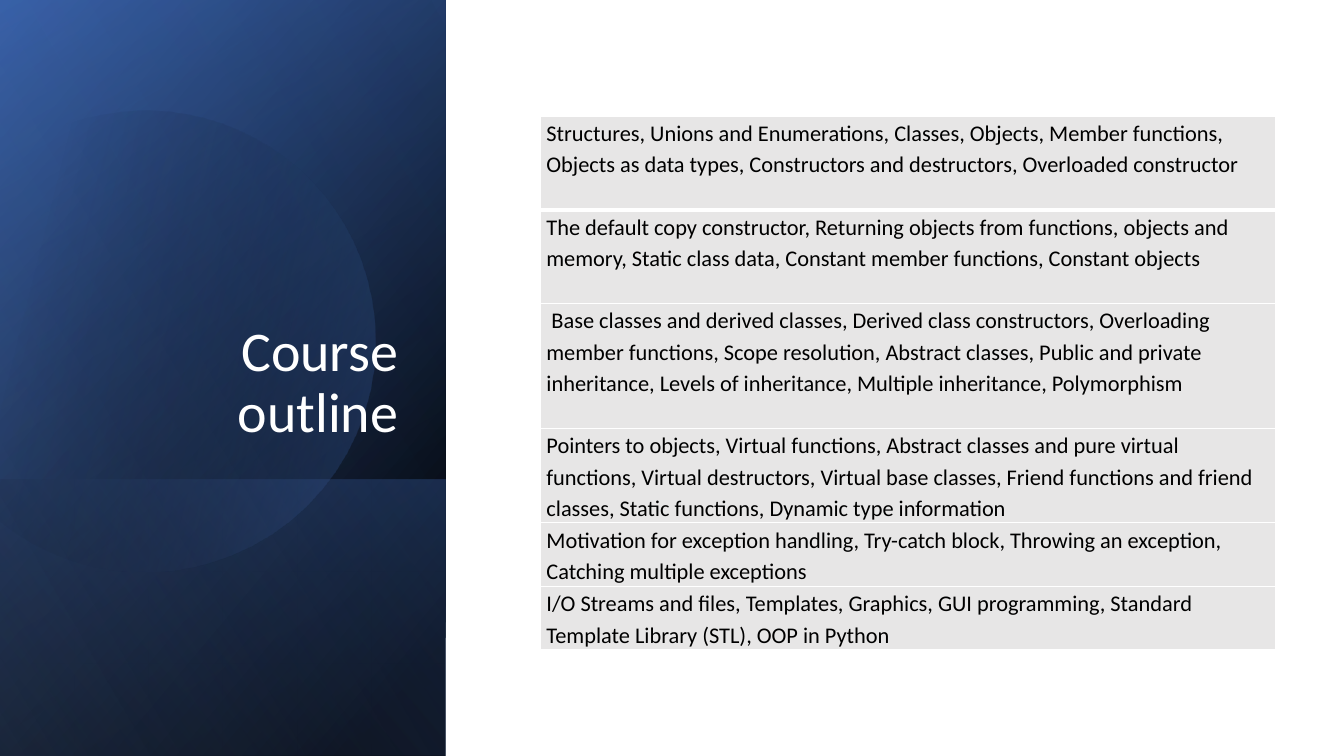
import math

import lxml.etree
import pptx
import pptx.dml.color
import pptx.enum.shapes
import pptx.enum.text
import pptx.oxml.ns
import pptx.util

Inches, Pt = pptx.util.Inches, pptx.util.Pt
qn = pptx.oxml.ns.qn

COLORS = {
    "black": "000000", "white": "FFFFFF", "navy": "2F5597",
    "blue": "4472C4", "pale": "8FAADC", "cell": "E7E6E6",
}
FONT = "Calibri"
TITLE = "Course outline"
TOPICS = [  # row height, text
    (0.93, "Structures, Unions and Enumerations, Classes, Objects, Member functions, "
           "Objects as data types, Constructors and destructors, Overloaded constructor"),
    (0.93, "The default copy constructor, Returning objects from functions, objects and "
           "memory, Static class data, Constant member functions, Constant objects"),
    (1.24, " Base classes and derived classes, Derived class constructors, Overloading "
           "member functions, Scope resolution, Abstract classes, Public and private "
           "inheritance, Levels of inheritance, Multiple inheritance, Polymorphism"),
    (0.93, "Pointers to objects, Virtual functions, Abstract classes and pure virtual "
           "functions, Virtual destructors, Virtual base classes, Friend functions and "
           "friend classes, Static functions, Dynamic type information"),
    (0.63, "Motivation for exception handling, Try-catch block, Throwing an exception, "
           "Catching multiple exceptions"),
    (0.63, "I/O Streams and files, Templates, Graphics, GUI programming, Standard "
           "Template Library (STL), OOP in Python"),
]

# Gradient stops: position %, colour, opacity %
PANEL_WIDTH, PANEL_HEIGHT, LOWER_HEIGHT = 4.42, 7.5, 2.74
PANELS = [  # height, clockwise angle, stops
    (PANEL_HEIGHT, 50, [(8, "black", 100), (100, "navy", 100)]),
    (PANEL_HEIGHT, 30, [(0, "black", 0), (99, "blue", 46)]),
    (LOWER_HEIGHT, 130, [(2, "blue", 29), (100, "black", 30)]),
]
DISC_STOPS = [(29, "black", 0), (100, "blue", 43)]
SHEEN = (PANEL_HEIGHT, 120, [(0, "black", 0), (99, "pale", 11)])

DISC_TURN, DISC_CENTER = -16.1, (1.585, 3.345)
DISC_START = (1.49, 1.1)
DISC_CURVES = [  # each: two control points and an end; a lone point is a straight side
    [(2.46, 1.12), (3.35, 1.77), (3.63, 2.75)],
    [(3.98, 3.97), (3.28, 5.23), (2.07, 5.58)],
    [(1.31, 5.8), (0.53, 5.61), (-0.03, 5.14)],
    [(-0.15, 5.03)],
    [(-0.15, 1.75)],
    [(0, 1.61)],
    [(0.23, 1.42), (0.5, 1.28), (0.8, 1.19)],
    [(1.03, 1.13), (1.26, 1.1), (1.49, 1.1)],
]
CURVE_STEPS = 16


def rgb(name):
    return pptx.dml.color.RGBColor.from_string(COLORS[name])


def paint_gradient(shape, angle, stops):
    shape.shadow.inherit = False
    shape.line.fill.background()
    shape.fill.gradient()
    shape.fill.gradient_angle = 360 - angle
    for stop, (position, color, _) in zip(shape.fill.gradient_stops, stops):
        stop.position = position / 100
        stop.color.rgb = rgb(color)
    tints = shape.element.spPr.find(qn("a:gradFill")).iter(qn("a:srgbClr"))
    for tint, (_, _, opacity) in zip(tints, stops):
        if opacity < 100:
            lxml.etree.SubElement(tint, qn("a:alpha"), val=str(opacity * 1000))


def add_panel(page, height, angle, stops):
    """Add a left-hand panel lying on its side, so that its gradient turns with it."""
    left = (PANEL_WIDTH - height) / 2
    top = PANEL_HEIGHT - (height + PANEL_WIDTH) / 2
    panel = page.shapes.add_shape(
        pptx.enum.shapes.MSO_SHAPE.RECTANGLE,
        Inches(left), Inches(top), Inches(height), Inches(PANEL_WIDTH))
    panel.rotation = 90
    panel.element.spPr.find(qn("a:xfrm")).set("flipH", "1")
    paint_gradient(panel, angle, stops)


def disc_outline():
    points = [DISC_START]
    for curve in DISC_CURVES:
        if len(curve) == 1:
            points += curve
            continue
        corners = [points[-1]] + curve
        for step in range(1, CURVE_STEPS + 1):
            t = step / CURVE_STEPS
            weights = [math.comb(3, i) * t**i * (1 - t)**(3 - i) for i in range(4)]
            points.append(tuple(sum(w * corner[axis] for w, corner in zip(weights, corners))
                                for axis in (0, 1)))
    return points


def unturn(point):
    """Turn a point back about the disc's centre, into the unrotated frame."""
    turn = math.radians(-DISC_TURN)
    x, y = (value - middle for value, middle in zip(point, DISC_CENTER))
    return (Inches(DISC_CENTER[0] + x * math.cos(turn) - y * math.sin(turn)),
            Inches(DISC_CENTER[1] + x * math.sin(turn) + y * math.cos(turn)))


def add_disc(page):
    start, *others = [unturn(point) for point in disc_outline()]
    builder = page.shapes.build_freeform(*start)
    builder.add_line_segments(others, close=True)
    disc = builder.convert_to_shape()
    disc.rotation = DISC_TURN
    paint_gradient(disc, 30, DISC_STOPS)


def set_borders(cell, widths):
    properties = cell._tc.get_or_add_tcPr()
    for index, (side, width) in enumerate(widths.items()):
        line = lxml.etree.Element(qn("a:ln" + side), w=str(Pt(width)))
        fill = lxml.etree.SubElement(line, qn("a:solidFill"))
        lxml.etree.SubElement(fill, qn("a:srgbClr"), val=COLORS["white"])
        properties.insert(index, line)


def style_text(para, size, color, spacing):
    para.line_spacing = spacing
    para.font.name = FONT
    para.font.size = Pt(size)
    para.font.color.rgb = rgb(color)


def add_title(page):
    title = page.shapes.title
    title.left, title.top = Inches(0.64), Inches(1.84)
    title.width, title.height = Inches(3.41), Inches(2.62)
    frame = title.text_frame
    frame.text = TITLE
    frame.word_wrap = True
    frame.auto_size = pptx.enum.text.MSO_AUTO_SIZE.NONE
    frame.vertical_anchor = pptx.enum.text.MSO_ANCHOR.BOTTOM
    para = frame.paragraphs[0]
    para.alignment = pptx.enum.text.PP_ALIGN.RIGHT
    style_text(para, 40, "white", 0.9)


def add_topics(page):
    total = sum(height for height, _ in TOPICS)
    table = page.shapes.add_table(len(TOPICS), 1, Inches(5.36), Inches(1.15),
                                  Inches(7.29), Inches(total)).table
    table.first_row = table.horz_banding = False
    for index, (height, topic) in enumerate(TOPICS):
        table.rows[index].height = Inches(height)
        cell = table.cell(index, 0)
        cell.text = topic
        cell.margin_left = cell.margin_right = Inches(0.06)
        cell.margin_top = cell.margin_bottom = 0
        cell.fill.solid()
        cell.fill.fore_color.rgb = rgb("cell")
        set_borders(cell, {"L": 1, "R": 1, "T": 3 if index == 1 else 1,
                           "B": 3 if index == 0 else 1})
        style_text(cell.text_frame.paragraphs[0], 16, "black", 1.15)


def main():
    deck = pptx.Presentation()
    deck.slide_width, deck.slide_height = Inches(13.33), Inches(7.5)
    page = deck.slides.add_slide(deck.slide_layouts[5])
    for panel in PANELS:
        add_panel(page, *panel)
    add_disc(page)
    add_panel(page, *SHEEN)
    add_title(page)
    page.shapes._spTree.append(page.shapes.title.element)  # bring the title to the front
    add_topics(page)
    deck.save("out.pptx")


if __name__ == "__main__":
    main()
